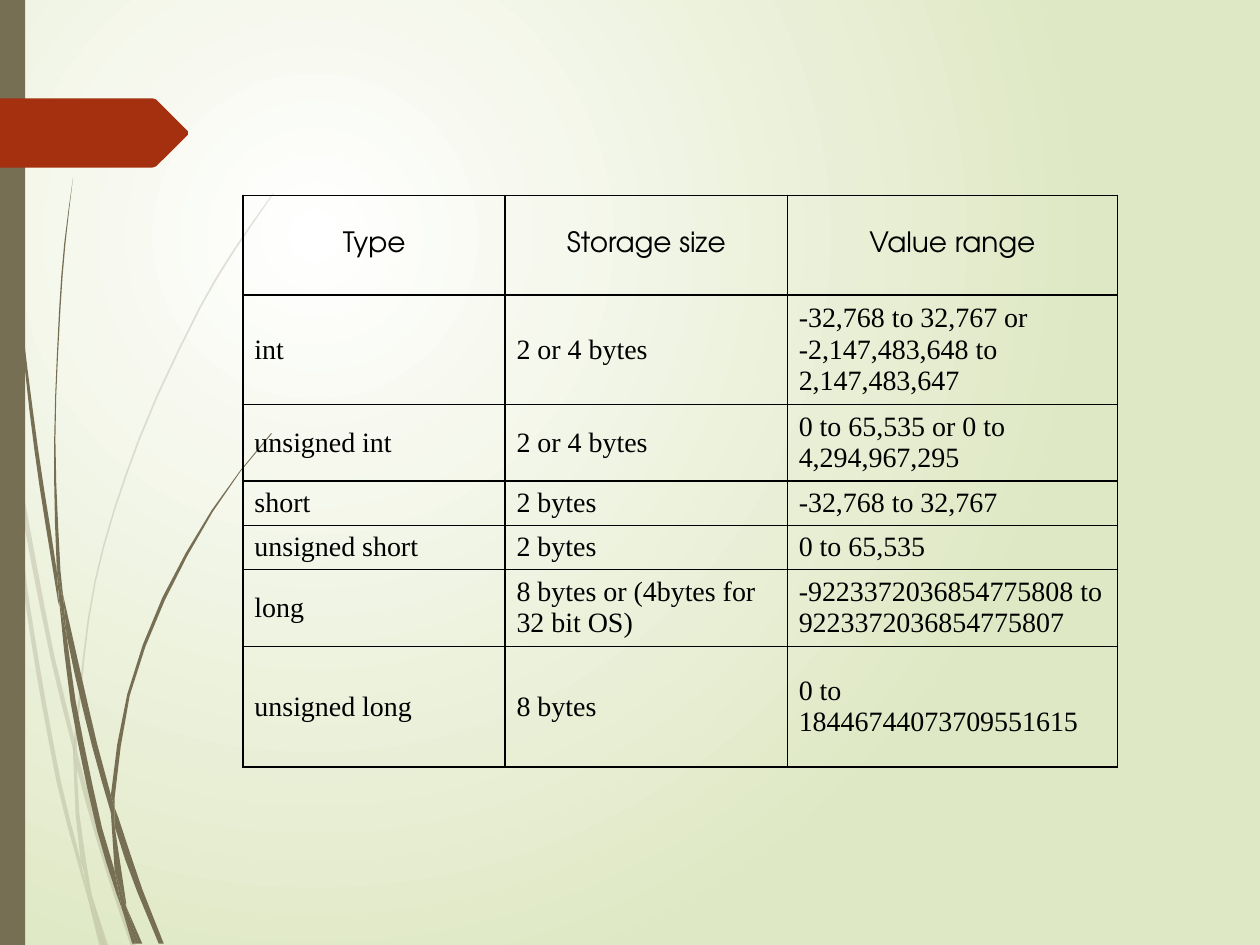
import math
from lxml import etree
from pptx import Presentation
from pptx import util as u
from pptx.dml.color import RGBColor
from pptx.enum import shapes, text
from pptx.oxml.ns import qn

COLORS = {"white": "FFFFFF", "sage": "DFE8C4", "olive": "766F54",
          "rust": "A53010", "black": "000000"}

# Knots of each blade of grass, in inches from the corner of the grass
PALE_BLADES = [
    [(.08, 3.5), (.06, 3.22), (0, 2.82), (0, 2.99), (.07, 3.44)],
    [(.4, 5.22), (.59, 5.99), (.59, 5.86), (.43, 5.2), (.1, 3.45), (.12, 3.76)],
    [(.64, 6.07), (.61, 5.96), (.61, 6.1), (.85, 6.94), (1.04, 7.51), (1.08, 7.51), (.88, 6.92)],
    [(.83, 7.51), (.86, 7.51), (.73, 7.11)],
    [(.64, 6.83), (.48, 6.19), (.22, 4.69), (.12, 3.76), (.08, 3.5), (.19, 4.7), (.45, 6.21),
     (.64, 6.93), (.7, 7.14), (.69, 7.07)],
    [(.58, 5.99), (.6, 6.46), (.64, 6.83), (.67, 6.92), (.73, 7.11), (.72, 7.06), (.63, 6.46),
     (.61, 6.1), (.61, 6.08)],
    [(.61, 5.84), (.76, 4.62), (1.11, 3.49), (1.59, 2.45), (1.87, 1.98), (2.17, 1.54),
     (2.17, 1.53), (1.86, 1.97), (1.58, 2.44), (1.1, 3.48), (.75, 4.61), (.59, 5.84),
     (.59, 5.86), (.61, 5.96)],
    [(.7, 7.14), (.79, 7.51), (.82, 7.51)],
    [(.61, 6.08), (.61, 5.96), (.59, 5.86), (.58, 5.99)],
    [(.67, 6.92), (.65, 6.83), (.69, 7.07), (.7, 7.14), (.82, 7.51), (.83, 7.51), (.73, 7.11)],
]
DARK_BLADES = [
    [(.05, 1.1), (.14, 2.33), (.27, 3.55), (.46, 4.77), (.47, 4.81), (.45, 4.53),
     (.3, 3.55), (.15, 2.32), (.06, 1.09), (.04, .48), (.03, 0), (.02, 0), (.03, .48)],
    [(.73, 5.92), (.88, 6.45), (.88, 6.31), (.77, 5.9), (.5, 4.72), (.53, 5.05)],
    [(.94, 6.49), (.91, 6.41), (.91, 6.56), (1.09, 7.08), (1.26, 7.49), (1.3, 7.49), (1.13, 7.06)],
    [(.91, 6.91), (.81, 6.57), (.6, 5.56), (.53, 5.05), (.47, 4.77), (.56, 5.57), (.77, 6.59),
     (.92, 7.08), (.97, 7.22), (.96, 7.17)],
    [(.5, 4.72), (.48, 4.53), (.44, 3.49), (.48, 2.45), (.52, 1.93), (.58, 1.41), (.51, 1.93),
     (.47, 2.45), (.43, 3.49), (.45, 4.49), (.49, 4.72)],
    [(1.1, 7.49), (1.13, 7.49), (1, 7.19)],
    [(.47, 4.77), (.53, 5.05), (.5, 4.72), (.49, 4.72), (.45, 4.49), (.45, 4.53)],
    [(.91, 6.33), (1.03, 5.52), (1.31, 4.76), (1.69, 4.06), (1.91, 3.74), (2.16, 3.44),
     (2.15, 3.44), (1.91, 3.73), (1.68, 4.05), (1.29, 4.74), (1.01, 5.51), (.88, 6.31),
     (.91, 6.41)],
    [(.97, 7.22), (1.05, 7.49), (1.08, 7.49)],
    [(.88, 6.45), (.91, 6.91), (.96, 7.06), (1, 7.19), (1, 7.16), (.91, 6.56), (.9, 6.51)],
    [(.88, 6.45), (.91, 6.56), (.91, 6.41), (.88, 6.31)],
    [(.96, 7.06), (.91, 6.91), (.96, 7.17), (.97, 7.22), (1.08, 7.49), (1.1, 7.49), (1, 7.19)],
]
PENNANT = [(1.49, 1.07), (1.24, 1.32), (1.21, 1.33), (0, 1.33),
           (0, .78), (1.21, .78), (1.24, .79), (1.49, 1.04)]

COLUMNS = [2.08, 2.24, 2.62]
ROWS = [
    (0.79, "Type", "Storage size", "Value range"),
    (0.87, "int", "2 or 4 bytes", "-32,768 to 32,767 or -2,147,483,648 to 2,147,483,647"),
    (0.61, "unsigned int", "2 or 4 bytes", "0 to 65,535 or 0 to 4,294,967,295"),
    (0.35, "short", "2 bytes", "-32,768 to 32,767"),
    (0.35, "unsigned short", "2 bytes", "0 to 65,535"),
    (0.61, "long", "8 bytes or (4bytes for 32 bit OS)",
     "-9223372036854775808 to 9223372036854775807"),
    (0.96, "unsigned long", "8 bytes", "0 to 18446744073709551615"),
]


def color(name):
    return RGBColor.from_string(COLORS[name])


def paint(shape, name, opacity=100):
    shape.shadow.inherit = False
    shape.fill.solid()
    shape.fill.fore_color.rgb = color(name)
    shape.line.fill.background()
    if opacity < 100:
        fill_color = shape._element.spPr.find(".//" + qn("a:srgbClr"))
        etree.SubElement(fill_color, qn("a:alpha"), val=str(opacity * 1000))


def tangent(before, knot, after):
    """Direction of the curve at a knot, or None at a sharp corner."""
    first = math.atan2(knot[1] - before[1], knot[0] - before[0])
    second = math.atan2(after[1] - knot[1], after[0] - knot[0])
    if math.cos(second - first) < 0.8:
        return None
    middle = math.atan2(after[1] - before[1], after[0] - before[0])
    return math.cos(middle), math.sin(middle)


def smooth_outline(knots):
    """Hermite curve through the knots; only long spans get points between."""
    count = len(knots)
    tangents = [tangent(knots[i - 1], knots[i], knots[(i + 1) % count]) for i in range(count)]
    points = []
    for i, start in enumerate(knots):
        end = knots[(i + 1) % count]
        length = math.dist(start, end)
        steps = max(1, round(length * 3))
        chord = [(b - a) / length for a, b in zip(start, end)]
        leave, arrive = tangents[i] or chord, tangents[(i + 1) % count] or chord
        for step in range(steps):
            t = step / steps
            blend = t * t * (3 - 2 * t)
            points.append([a + (b - a) * blend
                           + length * (t * (1 - t) ** 2 * out - t * t * (1 - t) * into)
                           for a, b, out, into in zip(start, end, leave, arrive)])
    return points


def add_outline(page, left, top, points, name, opacity=100):
    places = [(left + u.Inches(x), top + u.Inches(y)) for x, y in points]
    builder = page.shapes.build_freeform(*places[0], scale=1.0)
    builder.add_line_segments(places[1:], close=True)
    paint(builder.convert_to_shape(), name, opacity)


def add_background(page):
    fill = page.background.fill
    fill.gradient()
    for stop, name, position in zip(fill.gradient_stops, ("white", "sage"), (0, 1)):
        stop.color.rgb = color(name)
        stop.position = position
    gradient = page._element.find(".//" + qn("a:gradFill"))
    gradient.remove(gradient.find(qn("a:lin")))
    circle = etree.SubElement(gradient, qn("a:path"), path="circle")
    etree.SubElement(circle, qn("a:fillToRect"), l="50000", t="50000", r="100000", b="100000")


def add_decoration(page, left, top, height):
    # Grass, side bar and pennant
    for blades, opacity in ((PALE_BLADES, 20), (DARK_BLADES, 100)):
        for knots in blades:
            add_outline(page, left, top, smooth_outline(knots), "olive", opacity)
    bar = page.shapes.add_shape(shapes.MSO_SHAPE.RECTANGLE, left, top, u.Inches(0.2), height)
    paint(bar, "olive")
    add_outline(page, left, top, PENNANT, "rust")


def style_cell(cell, header):
    properties = cell._tc.get_or_add_tcPr()
    for side in ("lnL", "lnR", "lnT", "lnB"):
        border = etree.SubElement(properties, qn("a:" + side), w=str(u.Pt(1)))
        solid = etree.SubElement(border, qn("a:solidFill"))
        etree.SubElement(solid, qn("a:srgbClr"), val=COLORS["black"])
    cell.fill.background()
    cell.vertical_anchor = text.MSO_ANCHOR.MIDDLE
    cell.margin_left = cell.margin_right = u.Inches(0.09)
    cell.margin_top = cell.margin_bottom = u.Inches(0.04)
    para = cell.text_frame.paragraphs[0]
    para.alignment = text.PP_ALIGN.CENTER if header else text.PP_ALIGN.LEFT
    for span in para.runs:
        span.font.name = "TeX Gyre Adventor" if header else "Times New Roman"
        span.font.size = u.Pt(16)
        span.font.color.rgb = color("black")


def add_type_table(page, left, top, width, height):
    table = page.shapes.add_table(len(ROWS), len(COLUMNS), left, top, width, height).table
    table.first_row = table.horz_banding = False
    for column, size in zip(table.columns, COLUMNS):
        column.width = u.Inches(size)
    for index, (size, *words) in enumerate(ROWS):
        table.rows[index].height = u.Inches(size)
        for cell, word in zip(table.rows[index].cells, words):
            cell.text_frame.text = word
            style_cell(cell, header=index == 0)


def main():
    deck = Presentation()
    deck.slide_width, deck.slide_height = u.Inches(10), u.Inches(7.5)
    page = deck.slides.add_slide(deck.slide_layouts[6])
    add_background(page)
    add_decoration(page, u.Inches(0), u.Inches(0), deck.slide_height)
    add_type_table(page, u.Inches(1.93), u.Inches(1.55), u.Inches(6.94), u.Inches(4.54))
    deck.save("out.pptx")


if __name__ == "__main__":
    main()
